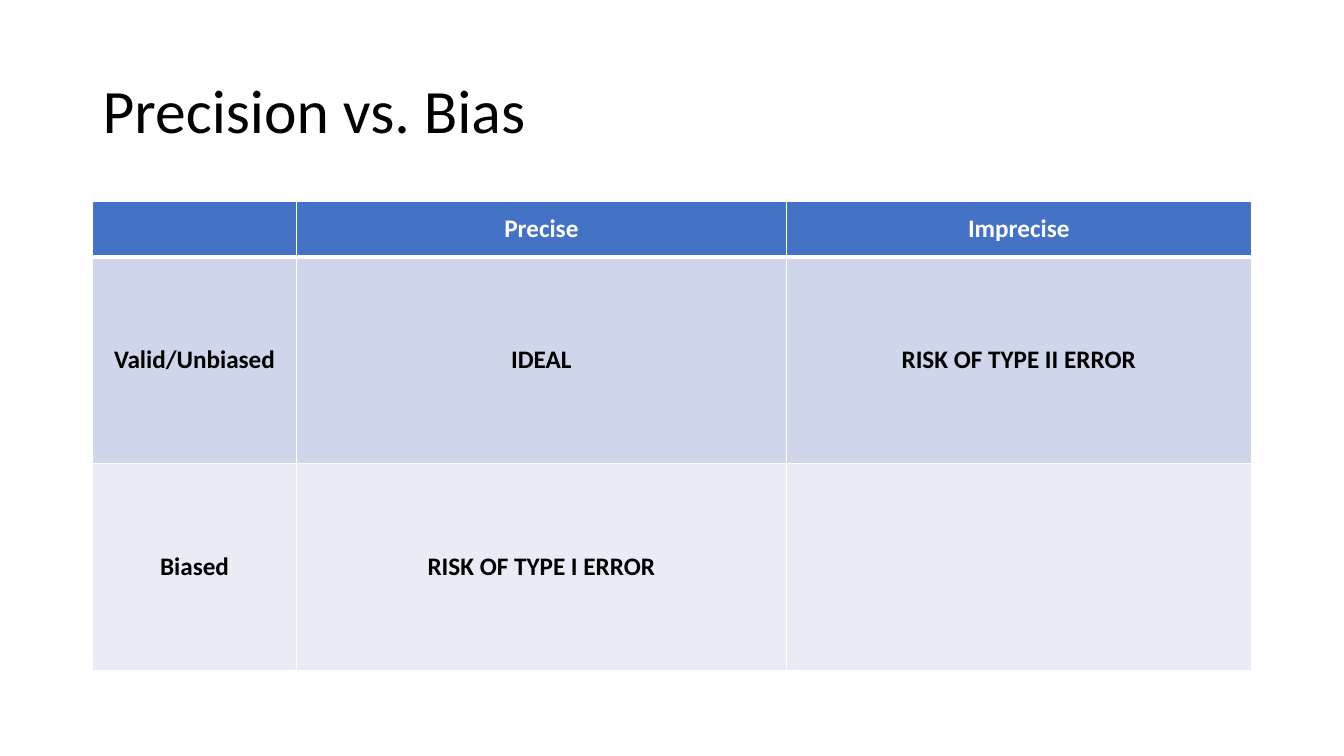
from lxml.etree import SubElement
from pptx import Presentation
from pptx.dml.color import RGBColor
from pptx.enum.text import MSO_ANCHOR, PP_ALIGN
from pptx.oxml.ns import qn
from pptx.util import Inches, Pt


def color(value):
    return RGBColor.from_string(value)


class SlideBuilder:
    font = "Calibri"
    black = "000000"
    white = "FFFFFF"
    header_fill = "4472C4"
    band_fills = ("CFD5EA", "E9EBF5")

    def __init__(self, slide):
        self.s = slide

    def style(self, p, size, font_color, bold=False):
        p.font.name = self.font
        p.font.size = Pt(size)
        p.font.bold = bold
        p.font.color.rgb = color(font_color)

    def title(self, text, left, top, width, height):
        sp = self.s.shapes.add_textbox(
            Inches(left), Inches(top), Inches(width), Inches(height))
        tf = sp.text_frame
        tf.word_wrap = True
        tf.vertical_anchor = MSO_ANCHOR.MIDDLE
        p = tf.paragraphs[0]
        p.text = text
        p.line_spacing = 0.9
        self.style(p, 44, self.black)

    def border(self, cell, side, width):
        tcPr = cell._tc.get_or_add_tcPr()
        ln = SubElement(tcPr, qn(f"a:ln{side}"), w=str(Pt(width)))
        fill = SubElement(ln, qn("a:solidFill"))
        SubElement(fill, qn("a:srgbClr"), val=self.white)

    def cell(self, cell, text, row):
        header = row == 0
        widths = {"L": 1, "R": 1, "T": 3 if row == 1 else 1, "B": 3 if header else 1}
        for side, width in widths.items():
            self.border(cell, side, width)
        cell.fill.solid()
        cell.fill.fore_color.rgb = color(
            self.header_fill if header else self.band_fills[(row - 1) % 2])
        cell.vertical_anchor = MSO_ANCHOR.MIDDLE
        p = cell.text_frame.paragraphs[0]
        p.text = text
        p.alignment = PP_ALIGN.CENTER
        self.style(p, 18, self.white if header else self.black, bold=True)

    def table(self, rows, left, top, col_widths, row_heights):
        table = self.s.shapes.add_table(
            len(rows), len(col_widths), Inches(left), Inches(top),
            Inches(sum(col_widths)), Inches(sum(row_heights))).table
        for column, width in zip(table.columns, col_widths):
            column.width = Inches(width)
        for row, height in zip(table.rows, row_heights):
            row.height = Inches(height)
        for i, texts in enumerate(rows):
            for j, text in enumerate(texts):
                self.cell(table.cell(i, j), text, i)


def main():
    prs = Presentation()
    prs.slide_width = Inches(13.33)
    prs.slide_height = Inches(7.5)
    builder = SlideBuilder(prs.slides.add_slide(prs.slide_layouts[6]))
    builder.title("Precision vs. Bias", 0.92, 0.4, 11.5, 1.45)
    builder.table(
        [
            ("", "Precise", "Imprecise"),
            ("Valid/Unbiased", "IDEAL", "RISK OF TYPE II ERROR"),
            ("Biased", "RISK OF TYPE I ERROR", ""),
        ],
        0.92, 2, (2.02, 4.86, 4.61), (0.55, 2.05, 2.05))
    prs.save("out.pptx")


if __name__ == "__main__":
    main()
